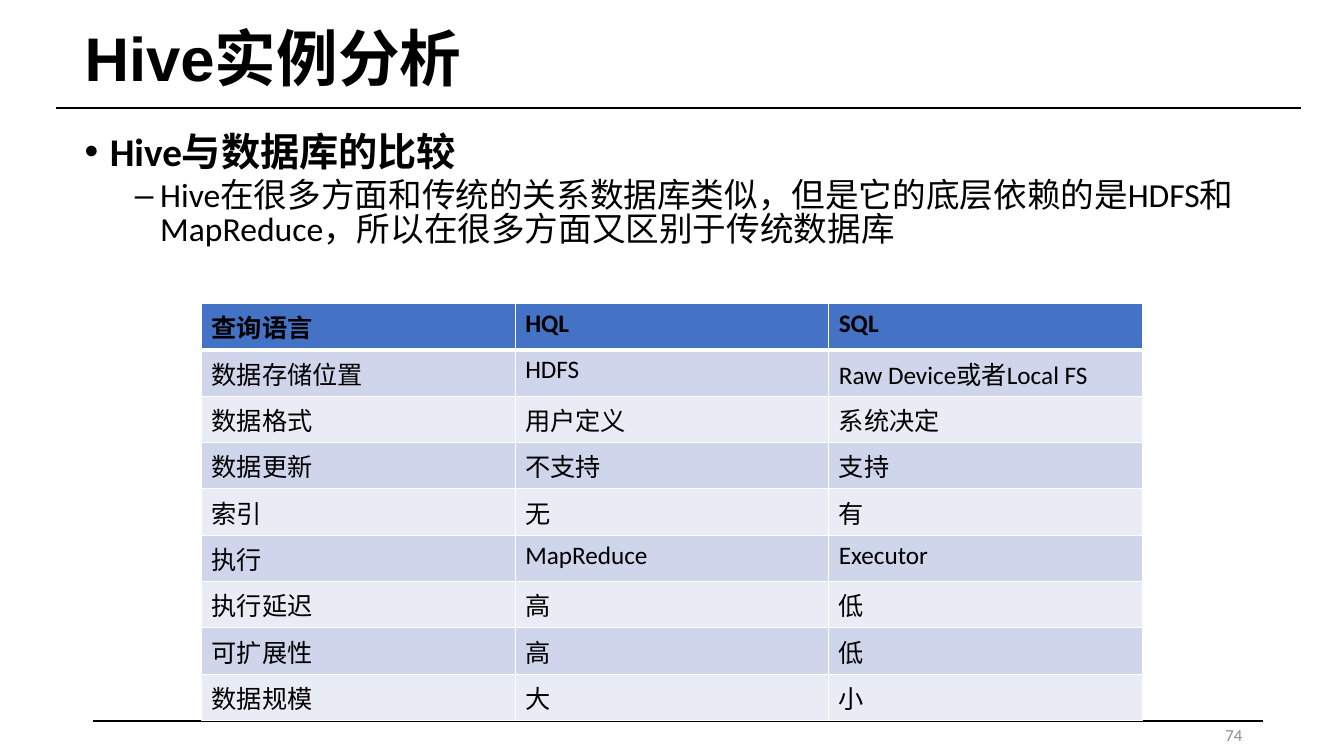
from lxml import etree
from pptx import Presentation
from pptx.dml.color import RGBColor
from pptx.enum.shapes import MSO_CONNECTOR
from pptx.enum.text import MSO_ANCHOR, PP_ALIGN
from pptx.oxml.ns import qn
from pptx.util import Inches, Pt

BLACK = RGBColor(0x00, 0x00, 0x00)
WHITE = RGBColor(0xFF, 0xFF, 0xFF)
GRAY = RGBColor(0x8C, 0x8C, 0x8C)
HEADER_BLUE = RGBColor(0x44, 0x72, 0xC4)
BANDS = (RGBColor(0xCF, 0xD5, 0xEA), RGBColor(0xE9, 0xEB, 0xF5))

TITLE = "Hive实例分析"
PAGE_NUMBER = "74"
# text, bullet, left indent, space before, font
BODY = [
    ("Hive与数据库的比较", "•", 0.25, 0, {"size": Pt(28), "bold": True}),
    ("Hive在很多方面和传统的关系数据库类似，但是它的底层依赖的是HDFS和MapReduce，"
     "所以在很多方面又区别于传统数据库", "–", 0.75, 5, {"size": Pt(24), "bold": False}),
]
COMPARISON = [
    ("查询语言", "HQL", "SQL"),
    ("数据存储位置", "HDFS", "Raw Device或者Local FS"),
    ("数据格式", "用户定义", "系统决定"),
    ("数据更新", "不支持", "支持"),
    ("索引", "无", "有"),
    ("执行", "MapReduce", "Executor"),
    ("执行延迟", "高", "低"),
    ("可扩展性", "高", "低"),
    ("数据规模", "大", "小"),
]
# left, right, y, width in points
RULES = [(0.56, 12.9, 1.07, 1.75), (0.92, 12.53, 7.15, 1.25)]
HANGING = 0.25
COLUMN_WIDTH, ROW_HEIGHT = 3.11, 0.46


def write(paragraph, text, color=BLACK, **font):
    paragraph.text = text
    for name, value in ({"name": "Calibri"} | font).items():
        setattr(paragraph.font, name, value)
    paragraph.font.color.rgb = color


def add_text_frame(slide, left, top, width, height, anchor):
    box = slide.shapes.add_textbox(*map(Inches, (left, top, width, height)))
    box.text_frame.word_wrap = True
    box.text_frame.vertical_anchor = anchor
    return box.text_frame


def add_rule(slide, left, right, y, width):
    rule = slide.shapes.add_connector(
        MSO_CONNECTOR.STRAIGHT, Inches(left), Inches(y), Inches(right), Inches(y))
    rule.line.color.rgb = BLACK
    rule.line.width = Pt(width)
    etree.SubElement(rule._element.spPr, qn("a:effectLst"))


def set_bullet(paragraph, bullet, indent):
    properties = paragraph._p.get_or_add_pPr()
    properties.set("marL", str(Inches(indent)))
    properties.set("indent", str(-Inches(HANGING)))
    etree.SubElement(properties, qn("a:buFont"), typeface="Arial")
    etree.SubElement(properties, qn("a:buChar"), char=bullet)


def set_borders(cell, widths):
    """Draw white borders; widths maps an edge letter to points."""
    properties = cell._tc.get_or_add_tcPr()
    for position, (edge, width) in enumerate(widths.items()):
        line = etree.Element(qn(f"a:ln{edge}"), w=str(Pt(width)))
        fill = etree.SubElement(line, qn("a:solidFill"))
        etree.SubElement(fill, qn("a:srgbClr"), val=str(WHITE))
        properties.insert(position, line)


def add_comparison(slide):
    rows, columns = len(COMPARISON), len(COMPARISON[0])
    table = slide.shapes.add_table(
        rows, columns, Inches(2), Inches(3.01),
        Inches(columns * COLUMN_WIDTH), Inches(rows * ROW_HEIGHT)).table
    for column in table.columns:
        column.width = Inches(COLUMN_WIDTH)
    for index, texts in enumerate(COMPARISON):
        table.rows[index].height = Inches(ROW_HEIGHT)
        header = index == 0
        for column, text in enumerate(texts):
            cell = table.cell(index, column)
            write(cell.text_frame.paragraphs[0], text, size=Pt(18), bold=header)
            cell.fill.solid()
            cell.fill.fore_color.rgb = HEADER_BLUE if header else BANDS[(index - 1) % 2]
            set_borders(cell, {"L": 1, "R": 1, "T": 3 if index == 1 else 1,
                               "B": 3 if header else 1})


def main():
    presentation = Presentation()
    presentation.slide_width = Inches(13.33)
    presentation.slide_height = Inches(7.5)
    slide = presentation.slides.add_slide(presentation.slide_layouts[6])

    for rule in RULES:
        add_rule(slide, *rule)

    title = add_text_frame(slide, 0.74, 0.15, 11.95, 0.92, MSO_ANCHOR.MIDDLE).paragraphs[0]
    title.line_spacing = 0.9
    write(title, TITLE, name="Arial", size=Pt(44), bold=True)

    body = add_text_frame(slide, 0.74, 1.3, 11.95, 5.46, MSO_ANCHOR.TOP)
    for index, (text, bullet, indent, space, font) in enumerate(BODY):
        paragraph = body.add_paragraph() if index else body.paragraphs[0]
        paragraph.level = index
        paragraph.line_spacing = 0.82
        paragraph.space_before = Pt(space)
        set_bullet(paragraph, bullet, indent)
        write(paragraph, text, **font)

    add_comparison(slide)

    number = add_text_frame(slide, 9.42, 7.09, 3, 0.4, MSO_ANCHOR.MIDDLE).paragraphs[0]
    number.alignment = PP_ALIGN.RIGHT
    write(number, PAGE_NUMBER, GRAY, size=Pt(12))

    presentation.save("out.pptx")


if __name__ == "__main__":
    main()
